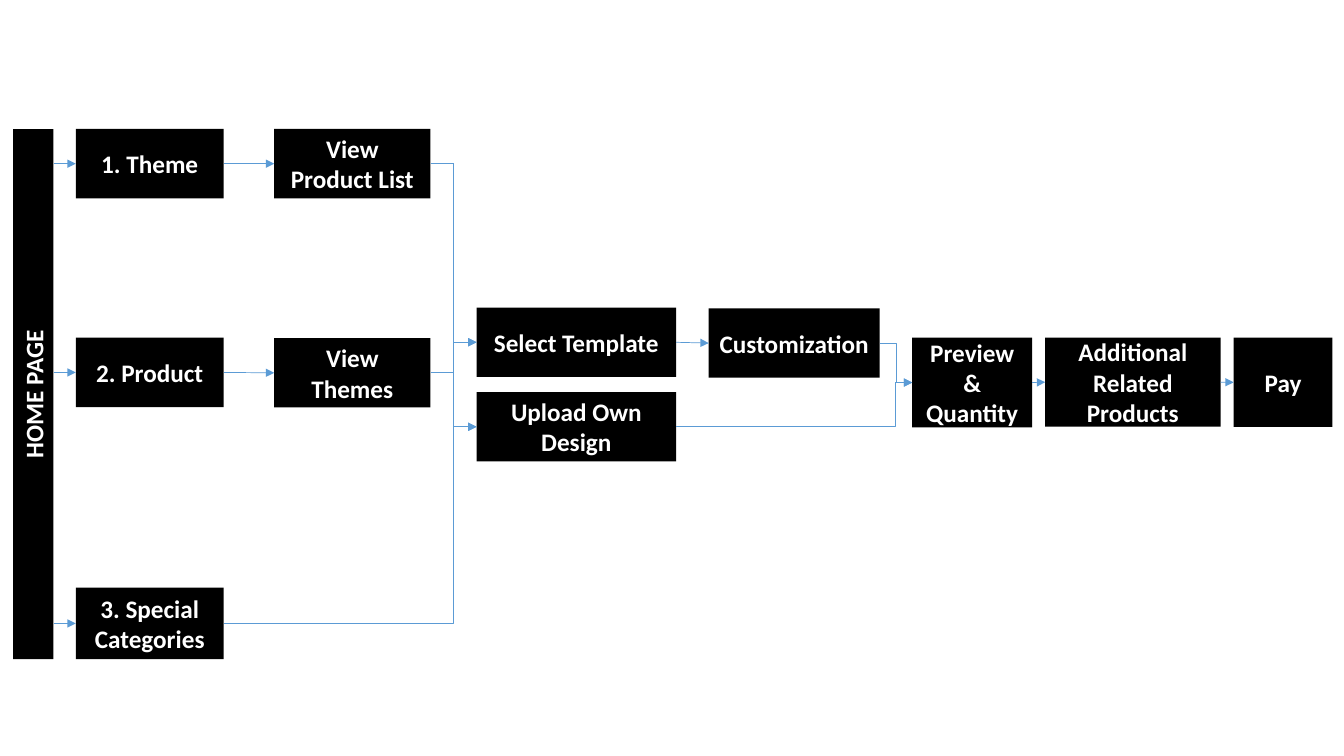
from lxml.etree import SubElement
from pptx import Presentation
from pptx.dml.color import RGBColor
from pptx.enum.shapes import MSO_CONNECTOR as CONNECTOR, MSO_SHAPE as SHAPE
from pptx.enum.text import MSO_ANCHOR as ANCHOR, PP_ALIGN as ALIGN
from pptx.oxml.ns import qn
from pptx.util import Cm, Pt

BLACK, WHITE, BLUE = "000000", "FFFFFF", "5B9BD5"
LEFT_SIDE, RIGHT_SIDE = 1, 3
HOME_RIGHT = 1.35

BOXES = {
    "theme": ("1. Theme", 1.91, 3.25, 3.73, 1.75),
    "product": ("2. Product", 1.91, 8.51, 3.73, 1.75),
    "special": ("3. Special Categories", 1.91, 14.81, 3.73, 1.8),
    "product list": ("View Product List", 6.91, 3.25, 3.94, 1.75),
    "themes": ("View Themes", 6.91, 8.52, 3.94, 1.75),
    "template": ("Select Template", 12.01, 7.75, 5.03, 1.75),
    "upload": ("Upload Own Design", 12.01, 9.88, 5.03, 1.75),
    "customization": ("Customization", 17.86, 7.77, 4.31, 1.75),
    "preview": ("Preview & Quantity", 22.99, 8.51, 3.02, 2.26),
    "related": ("Additional Related Products", 26.34, 8.51, 4.42, 2.24),
    "pay": ("Pay", 31.09, 8.51, 2.49, 2.25),
}

STRAIGHT_LINKS = [
    ("theme", "product list"),
    ("product", "themes"),
    ("template", "customization"),
    ("preview", "related"),
    ("related", "pay"),
]

BENT_LINKS = [
    ("product list", "template", 0.5),
    ("product list", "upload", 0.5),
    ("themes", "template", 0.5),
    ("special", "upload", 0.909),
    ("customization", "preview", 0.5),
    ("upload", "preview", 0.928),
]


def color(hex_string):
    return RGBColor.from_string(hex_string)


def add_box(slide, text, left, top, width, height, rotation=0):
    shape = slide.shapes.add_shape(
        SHAPE.RECTANGLE, Cm(left), Cm(top), Cm(width), Cm(height))
    shape.rotation = rotation
    shape.shadow.inherit = False
    shape.fill.solid()
    shape.fill.fore_color.rgb = color(BLACK)
    shape.line.fill.background()
    frame = shape.text_frame
    frame.word_wrap = True
    frame.vertical_anchor = ANCHOR.MIDDLE
    paragraph = frame.paragraphs[0]
    paragraph.alignment = ALIGN.CENTER
    run = paragraph.add_run()
    run.text = text
    run.font.name = "Calibri"
    run.font.size = Pt(18)
    run.font.bold = True
    run.font.color.rgb = color(WHITE)
    return shape


def add_arrow(slide, kind, start, target):
    middle = target.top + target.height // 2
    if start is None:
        begin_x, begin_y = Cm(HOME_RIGHT), middle
    else:
        begin_x = start.left + start.width
        begin_y = start.top + start.height // 2
    connector = slide.shapes.add_connector(
        kind, begin_x, begin_y, target.left, middle)
    if start is not None:
        connector.begin_connect(start, RIGHT_SIDE)
    connector.end_connect(target, LEFT_SIDE)
    connector.line.color.rgb = color(BLUE)
    connector.line.width = Pt(0.5)
    properties = connector._element.spPr
    SubElement(properties.find(qn("a:ln")), qn("a:tailEnd"), type="triangle")
    SubElement(properties, qn("a:effectLst"))
    return connector


def set_bend(connector, share):
    geometry = connector._element.spPr.find(qn("a:prstGeom"))
    adjustments = geometry.find(qn("a:avLst"))
    if adjustments is None:
        adjustments = SubElement(geometry, qn("a:avLst"))
    SubElement(adjustments, qn("a:gd"), name="adj1",
               fmla=f"val {round(share * 100000)}")


def main():
    presentation = Presentation()
    presentation.slide_width = Cm(33.87)
    presentation.slide_height = Cm(19.05)
    slide = presentation.slides.add_slide(presentation.slide_layouts[6])

    add_box(slide, "HOME PAGE", -5.84, 9.42, 13.36, 1.02, rotation=270)
    boxes = {name: add_box(slide, *box) for name, box in BOXES.items()}

    for name in ("theme", "product", "special"):
        add_arrow(slide, CONNECTOR.STRAIGHT, None, boxes[name])
    for start, target in STRAIGHT_LINKS:
        add_arrow(slide, CONNECTOR.STRAIGHT, boxes[start], boxes[target])
    for start, target, share in BENT_LINKS:
        connector = add_arrow(
            slide, CONNECTOR.ELBOW, boxes[start], boxes[target])
        set_bend(connector, share)

    presentation.save("out.pptx")


if __name__ == "__main__":
    main()
